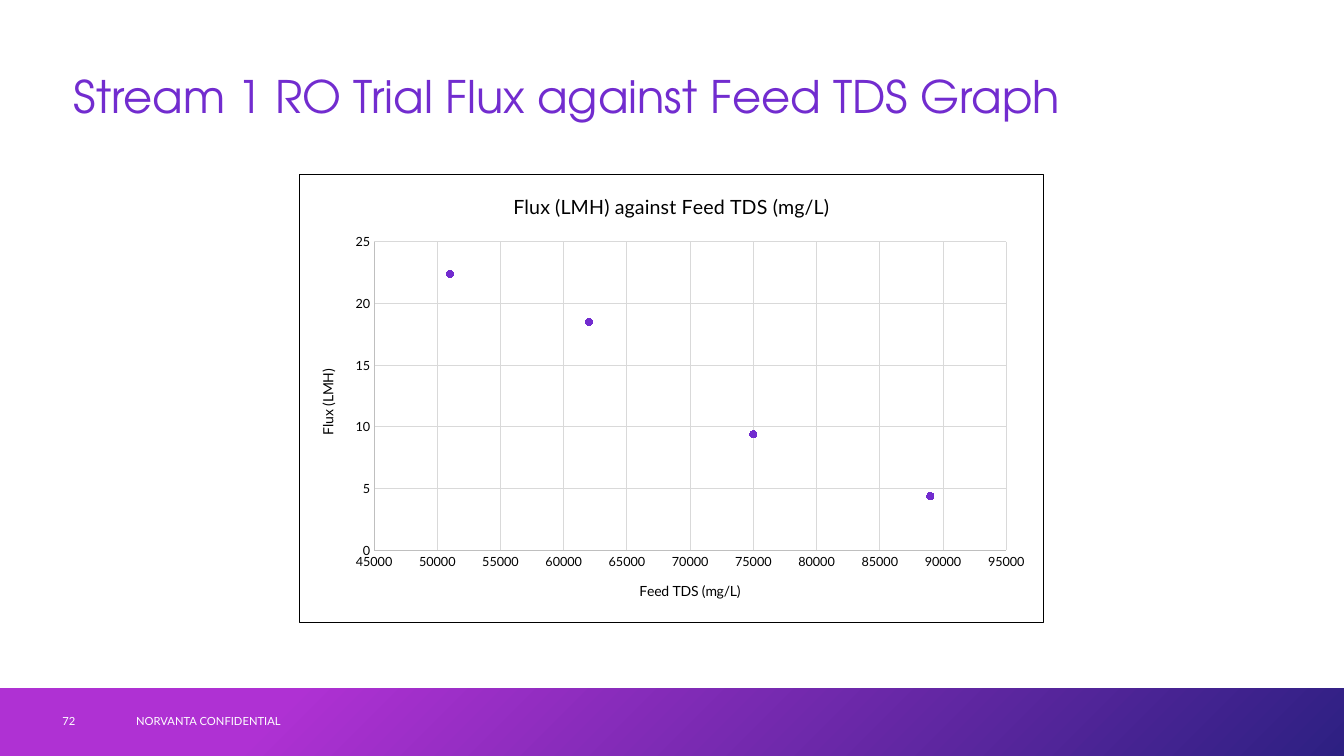
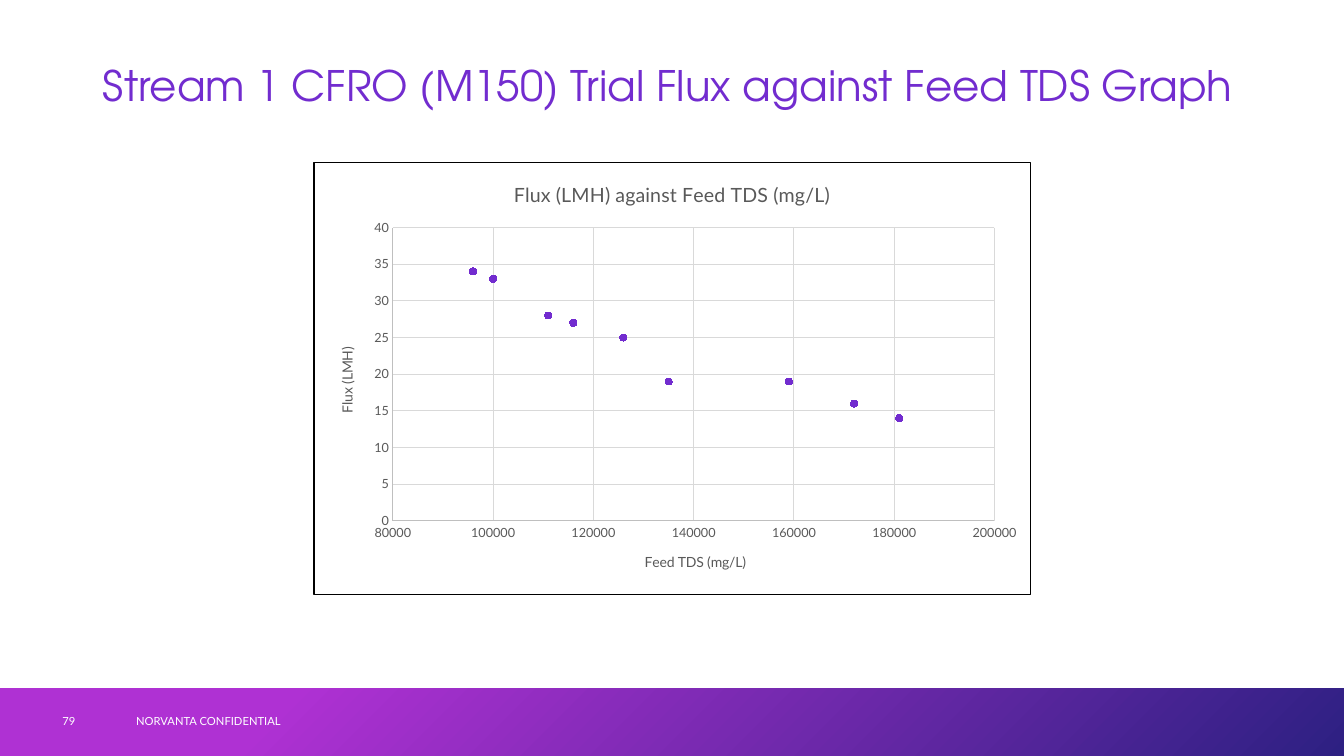
from lxml import etree
from pptx import Presentation
from pptx.chart.data import XyChartData
from pptx.dml.color import RGBColor
from pptx.enum.chart import XL_CHART_TYPE as CT, XL_MARKER_STYLE as MARKER, XL_TICK_MARK as TICK
from pptx.enum.shapes import MSO_SHAPE as SHAPE
from pptx.enum.text import MSO_ANCHOR as ANCHOR
from pptx.oxml import parse_xml
from pptx.oxml.ns import nsdecls, qn
from pptx.util import Cm, Pt

PURPLE = RGBColor(0x72, 0x2C, 0xCF)
MAGENTA = RGBColor(0xAF, 0x31, 0xD3)
NAVY = RGBColor(0x2D, 0x20, 0x82)
WHITE = RGBColor(0xFF, 0xFF, 0xFF)
BLACK = RGBColor(0x00, 0x00, 0x00)
GRAY = RGBColor(0x59, 0x59, 0x59)
AXIS = RGBColor(0xBF, 0xBF, 0xBF)
GRID = RGBColor(0xD9, 0xD9, 0xD9)

HEAD_FONT = "TeX Gyre Adventor"
BODY_FONT = "Lato"
CHART_TITLE = "Flux (LMH) against Feed TDS (mg/L)"
FOOTER = "NORVANTA CONFIDENTIAL"


class Deck:
    def __init__(self):
        self.prs = Presentation()
        self.prs.slide_width, self.prs.slide_height = Cm(33.87), Cm(19.05)
        self.s = None

    def slide(self, number):
        self.s = self.prs.slides.add_slide(self.prs.slide_layouts[6])
        self.band()
        self.text(FOOTER, 3.18, 17.65, 11.43, 1.02)
        self.text(str(number), 1.32, 17.65, 1.83, 1.02)

    def band(self):
        sp = self.s.shapes.add_shape(SHAPE.RECTANGLE, 0, Cm(17.35), self.prs.slide_width, Cm(1.7))
        sp.shadow.inherit = False
        sp.line.fill.background()
        sp.fill.gradient()
        sp.fill.gradient_angle = 315
        for stop, position, color in zip(sp.fill.gradient_stops, (0.21, 1), (MAGENTA, NAVY)):
            stop.position = position
            stop.color.rgb = color

    def style(self, font, size, color, name=BODY_FONT):
        font.name, font.size, font.bold = name, Pt(size), False
        font.color.rgb = color

    def text(self, text, x, y, w, h, size=8, color=WHITE, name=BODY_FONT):
        tf = self.s.shapes.add_textbox(Cm(x), Cm(y), Cm(w), Cm(h)).text_frame
        tf.word_wrap = True
        tf.vertical_anchor = ANCHOR.MIDDLE
        tf.text = text
        p = tf.paragraphs[0]
        self.style(p.runs[0].font, size, color, name)
        return p

    def title(self, text, x, y, size):
        p = self.text(text, x, y, 29.21, 3.68, size, PURPLE, HEAD_FONT)
        p.line_spacing = 0.9

    def axis(self, axis, title, limits, color):
        axis.minimum_scale, axis.maximum_scale, axis.major_unit = limits
        axis.major_tick_mark = axis.minor_tick_mark = TICK.NONE
        axis.has_major_gridlines = True
        for line, shade in ((axis.format.line, AXIS), (axis.major_gridlines.format.line, GRID)):
            line.color.rgb = shade
            line.width = Pt(0.75)
        self.style(axis.tick_labels.font, 9, color)
        tf = axis.axis_title.text_frame
        tf.text = title
        self.style(tf.paragraphs[0].runs[0].font, 10, color)
        return tf

    def plot_box(self, chart, box):
        area = chart.element.find(".//" + qn("c:plotArea"))
        for old in area.findall(qn("c:layout")):
            area.remove(old)
        layout = etree.SubElement(area, qn("c:layout"))
        area.insert(0, layout)
        manual = etree.SubElement(layout, qn("c:manualLayout"))
        settings = [("layoutTarget", "inner"), ("xMode", "edge"), ("yMode", "edge"), *zip("xywh", box)]
        for tag, value in settings:
            etree.SubElement(manual, qn("c:" + tag)).set("val", str(value))

    def border(self, chart):
        chart.element.find(qn("c:chart")).addnext(parse_xml(
            f'<c:spPr {nsdecls("c", "a")}><a:noFill/><a:ln w="{Pt(0.75)}">'
            f'<a:solidFill><a:srgbClr val="{BLACK}"/></a:solidFill></a:ln></c:spPr>'))

    def scatter(self, points, place, plot, x_limits, y_limits, color):
        data = XyChartData(number_format="General")
        series = data.add_series(CHART_TITLE)
        for x, y in points:
            series.add_data_point(x, y)
        frame = self.s.shapes.add_chart(CT.XY_SCATTER, *map(Cm, place), data)
        chart = frame.chart
        chart.has_legend = False
        self.style(chart.font, 10, BLACK)
        chart.has_title = True
        chart.chart_title.include_in_layout = False
        tf = chart.chart_title.text_frame
        tf.text = CHART_TITLE
        self.style(tf.paragraphs[0].runs[0].font, 14, color)

        self.axis(chart.category_axis, "Feed TDS (mg/L)", x_limits, color)
        tf = self.axis(chart.value_axis, "Flux (LMH)", y_limits, color)
        body = tf._txBody.find(qn("a:bodyPr"))
        body.set("rot", "-5400000")
        body.set("vert", "horz")

        chart.plots[0].vary_by_categories = False
        dots = chart.plots[0].series[0]
        dots.smooth = False
        dots.format.line.fill.background()
        dots.marker.style, dots.marker.size = MARKER.CIRCLE, 5
        dots.marker.format.fill.solid()
        dots.marker.format.fill.fore_color.rgb = PURPLE
        dots.marker.format.line.color.rgb = PURPLE
        self.plot_box(chart, plot)
        self.border(chart)


def main():
    deck = Deck()

    deck.slide(72)
    deck.title("Stream 1 RO Trial Flux against Feed TDS Graph", 1.6, 0.66, 32)
    ro_points = [(51000, 22.4), (62000, 18.5), (75000, 9.4), (89000, 4.4)]
    deck.scatter(ro_points, (7.54, 4.39, 18.77, 11.3), (0.1, 0.15, 0.85, 0.69),
                 (45000, 95000, 5000), (0, 25, 5), BLACK)

    deck.slide(79)
    deck.title("Stream 1 CFRO (M150) Trial Flux against Feed TDS Graph", 2.34, 0.38, 30)
    cfro_points = [(96000, 34), (100000, 33), (111000, 28), (116000, 27), (126000, 25),
                   (135000, 19), (159000, 19), (172000, 16), (181000, 14)]
    deck.scatter(cfro_points, (7.9, 4.09, 18.08, 10.9), (0.11, 0.15, 0.84, 0.68),
                 (80000, 200000, 20000), (0, 40, 5), GRAY)

    deck.prs.save("out.pptx")


if __name__ == "__main__":
    main()
